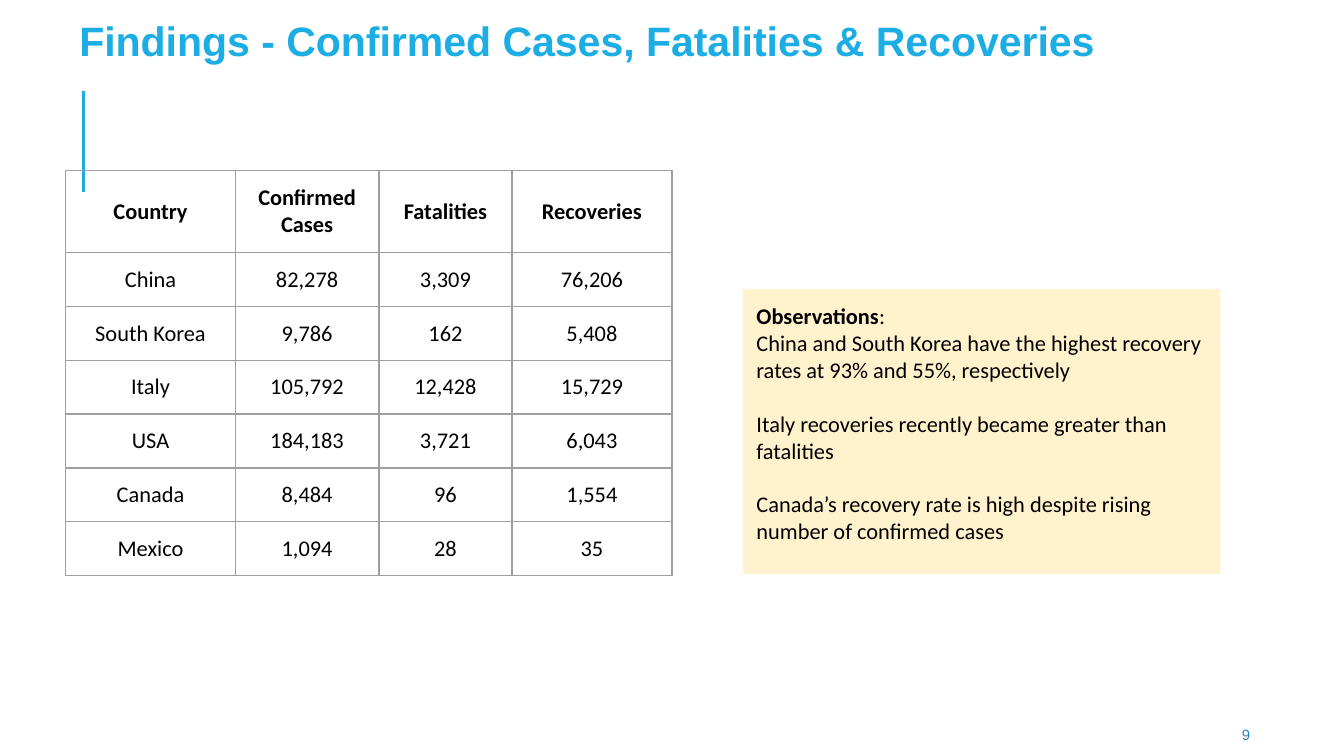
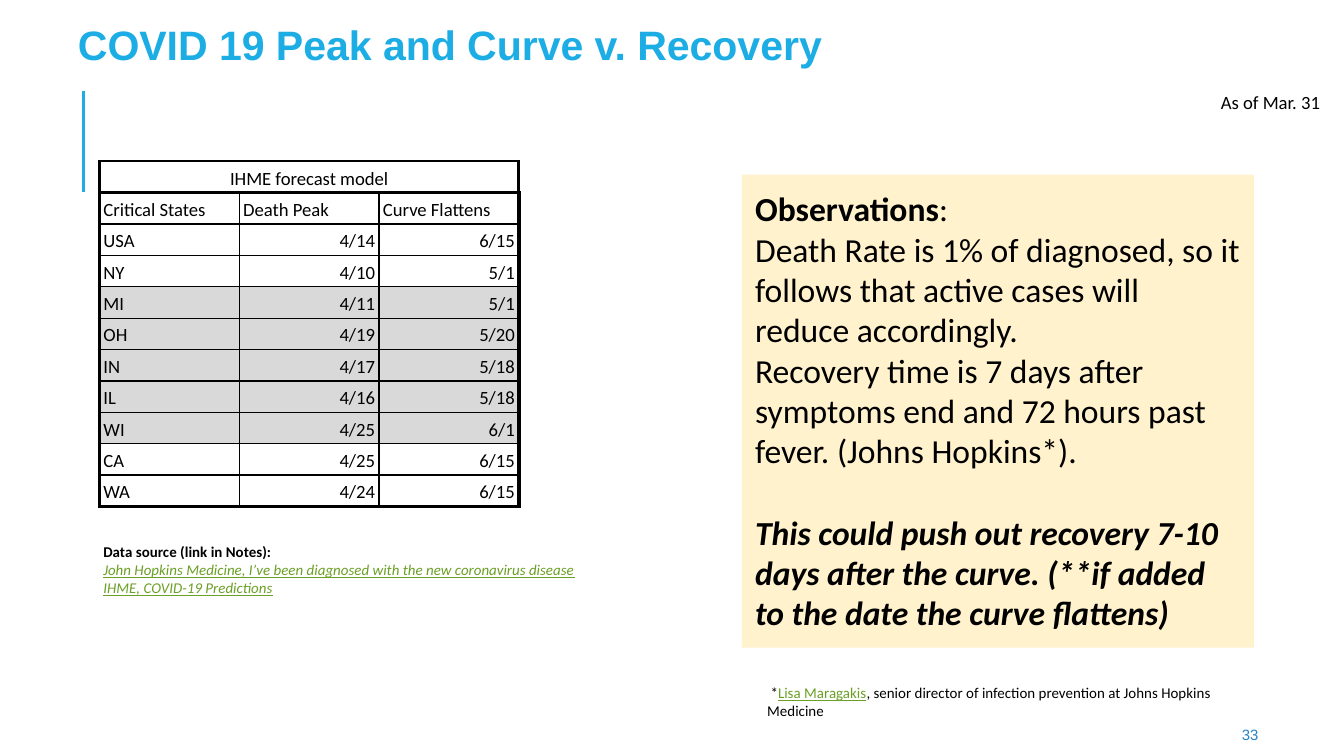
from lxml.etree import SubElement
from pptx import Presentation
from pptx.dml.color import RGBColor as Rgb
from pptx.enum.shapes import MSO_CONNECTOR as Connector, MSO_SHAPE as Shape
from pptx.enum.text import MSO_ANCHOR as Anchor, PP_ALIGN as Align
from pptx.oxml.ns import qn
from pptx.util import Pt

EMU_PER_PX = 9144  # 100 px to the inch
COLORS = {
    "accent": "1CADE4",
    "number": "2683C6",
    "note": "FFF2CC",
    "link": "6B9F25",
    "text": "000000",
    "grid": "9E9E9E",
    "midwest": "D9D9D9",
}
BODY_FONT = "Calibri"
TITLE_FONT = "Arial"
PADDING = (10, 10, 10, 10)

CASES = [
    ("Country", "Confirmed Cases", "Fatalities", "Recoveries"),
    ("China", "82,278", "3,309", "76,206"),
    ("South Korea", "9,786", "162", "5,408"),
    ("Italy", "105,792", "12,428", "15,729"),
    ("USA", "184,183", "3,721", "6,043"),
    ("Canada", "8,484", "96", "1,554"),
    ("Mexico", "1,094", "28", "35"),
]
FORECAST = [
    ("IHME forecast model", "", ""),
    ("Critical States", "Death Peak", "Curve Flattens"),
    ("USA", "4/14", "6/15"),
    ("NY", "4/10", "5/1"),
    ("MI", "4/11", "5/1"),
    ("OH", "4/19", "5/20"),
    ("IN", "4/17", "5/18"),
    ("IL", "4/16", "5/18"),
    ("WI", "4/25", "6/1"),
    ("CA", "4/25", "6/15"),
    ("WA", "4/24", "6/15"),
]
MIDWEST = {"MI", "OH", "IN", "IL", "WI"}


def px(*lengths):
    return [round(length * EMU_PER_PX) for length in lengths]


def rgb(color):
    return Rgb.from_string(COLORS[color])


def write(frame, paragraphs, size=12, font=BODY_FONT, color="text", bold=False,
          align=Align.LEFT, line_spacing=None, gaps=None):
    """Fill a frame; a paragraph is a string or a list of (text, overrides) runs.

    gaps maps a paragraph's index to the points of space before it.
    """
    for index, runs in enumerate(paragraphs):
        paragraph = frame.paragraphs[0] if index == 0 else frame.add_paragraph()
        paragraph.alignment = align
        if line_spacing:
            paragraph.line_spacing = line_spacing
        if gaps and index in gaps:
            paragraph.space_before = Pt(gaps[index])
        for text, overrides in [(runs, {})] if isinstance(runs, str) else runs:
            run = paragraph.add_run()
            run.text = text
            run.font.size = Pt(size)
            run.font.name = font
            run.font.bold = overrides.get("bold", bold)
            run.font.italic = overrides.get("italic", False)
            run.font.underline = overrides.get("underline", False)
            run.font.color.rgb = rgb(overrides.get("color", color))


def set_margins(target, margins):
    (target.margin_left, target.margin_top,
     target.margin_right, target.margin_bottom) = px(*margins)


def add_text(slide, box, paragraphs, margins=PADDING, anchor=Anchor.TOP, **style):
    frame = slide.shapes.add_textbox(*px(*box)).text_frame
    frame.word_wrap = True
    frame.vertical_anchor = anchor
    set_margins(frame, margins)
    write(frame, paragraphs, **style)


def add_observations(slide, box, findings, **style):
    note = slide.shapes.add_shape(Shape.RECTANGLE, *px(*box))
    note.shadow.inherit = False
    note.fill.solid()
    note.fill.fore_color.rgb = rgb("note")
    note.line.fill.background()
    frame = note.text_frame
    frame.word_wrap = True
    frame.vertical_anchor = Anchor.TOP
    set_margins(frame, PADDING)
    heading = [("Observations", {"bold": True}), (":", {})]
    write(frame, [heading] + findings, **style)


def add_base_slide(deck, title, title_box, number):
    """Add a blank slide with the accent rule, title and page number."""
    slide = deck.slides.add_slide(deck.slide_layouts[6])
    rule = slide.shapes.add_connector(Connector.STRAIGHT, *px(62, 143, 62, 68))
    rule.line.color.rgb = rgb("accent")
    rule.line.width = Pt(1.5)
    SubElement(rule._element.spPr, qn("a:effectLst"))
    add_text(slide, title_box, [title], margins=(0, 0, 0, 0), anchor=Anchor.MIDDLE,
             size=22, font=TITLE_FONT, color="accent", bold=True)
    add_text(slide, (924, 540, 35, 16), [number], margins=(0, 0, 0, 0),
             size=8, font=TITLE_FONT, color="number")
    return slide


def add_grid(slide, left, top, widths, heights):
    box = px(left, top, sum(widths), sum(heights))
    table = slide.shapes.add_table(len(heights), len(widths), *box).table
    table.first_row = table.horz_banding = False
    for column, width in zip(table.columns, px(*widths)):
        column.width = width
    for row, height in zip(table.rows, px(*heights)):
        row.height = height
    return table


def fill_cell(cell, text, borders, border_color, margins, anchor, fill=None, **style):
    """Write and format a cell; borders are left, right, top, bottom in points."""
    properties = cell._tc.get_or_add_tcPr()
    for side, width in zip("LRTB", borders):
        line = SubElement(properties, qn(f"a:ln{side}"), w=str(Pt(width)))
        solid = SubElement(line, qn("a:solidFill"))
        SubElement(solid, qn("a:srgbClr"), val=COLORS[border_color])
    if fill:
        cell.fill.solid()
        cell.fill.fore_color.rgb = rgb(fill)
    else:
        cell.fill.background()
    set_margins(cell, margins)
    cell.vertical_anchor = anchor
    if text:
        write(cell.text_frame, [text], **style)


def add_cases_table(slide):
    heights = [61] + [40] * (len(CASES) - 1)
    table = add_grid(slide, 49, 127, [126, 107, 99, 119], heights)
    for row, record in enumerate(CASES):
        for col, text in enumerate(record):
            fill_cell(table.cell(row, col), text, [0.75] * 4, "grid", PADDING,
                      Anchor.MIDDLE, bold=row == 0, align=Align.CENTER)


def forecast_borders(row, col):
    """Heavier lines round the caption, the header row and the outer edge."""
    if row == 0:
        return [1.5] * 4
    return (
        1.5 if col == 0 else 0.75,
        2.25 if col == 2 else 0.75,
        1.5 if row <= 2 else 0.75,
        1.5 if row in (1, len(FORECAST) - 1) else 0.75,
    )


def add_forecast_table(slide):
    row_height = 257 / len(FORECAST)
    table = add_grid(slide, 74, 120, [104] * 3, [row_height] * len(FORECAST))
    table.cell(0, 0).merge(table.cell(0, 2))
    for row, record in enumerate(FORECAST):
        for col, text in enumerate(record):
            if row == 0:
                align = Align.CENTER
            else:
                align = Align.RIGHT if row > 1 and col > 0 else Align.LEFT
            fill_cell(table.cell(row, col), text, forecast_borders(row, col), "text",
                      (3, 2, 3, 2), Anchor.BOTTOM,
                      fill="midwest" if record[0] in MIDWEST else None,
                      size=10, align=align, line_spacing=1.15)


def add_findings_slide(deck):
    slide = add_base_slide(deck, "Findings - Confirmed Cases, Fatalities & Recoveries",
                           (59, 17, 769, 26), "9")
    add_cases_table(slide)
    add_observations(slide, (553, 215, 355, 212), [
        "China and South Korea have the highest recovery rates at 93% and 55%, respectively",
        "Italy recoveries recently became greater than fatalities",
        "Canada’s recovery rate is high despite rising number of confirmed cases",
    ], size=12, gaps={2: 14.4, 3: 14.4})


def add_recovery_slide(deck):
    slide = add_base_slide(deck, "COVID 19 Peak and Curve v. Recovery",
                           (58, 20, 758, 26), "33")
    add_observations(slide, (552, 130, 381, 352), [
        "Death Rate is 1% of diagnosed, so it follows that active cases will "
        "reduce accordingly.",
        "Recovery time is 7 days after symptoms end and 72 hours past fever. "
        "(Johns Hopkins*).",
        [("This could push out recovery 7-10 days after the curve. "
          "(**if added to the date the curve flattens)", {"bold": True, "italic": True})],
    ], size=18, gaps={3: 22})
    link = {"color": "link", "underline": True}
    add_text(slide, (561, 499, 381, 50), [[
        (" *", {}),
        ("Lisa Maragakis", link),
        (", senior director of infection prevention at Johns Hopkins Medicine", {}),
    ]], size=8)
    add_forecast_table(slide)
    source = {**link, "italic": True}
    add_text(slide, (67, 394, 429, 60), [
        [("Data source (link in Notes):", {"bold": True})],
        [("John Hopkins Medicine, I’ve been diagnosed with the new coronavirus disease",
          source)],
        [("IHME, COVID-19 Predictions", source)],
    ], size=8)
    add_text(slide, (838, 59, 154, 36), ["As of Mar. 31"], size=10, align=Align.RIGHT)


def main():
    deck = Presentation()
    [deck.slide_width] = px(1000)
    deck.slide_height = deck.slide_width * 9 // 16
    add_findings_slide(deck)
    add_recovery_slide(deck)
    deck.save("out.pptx")


if __name__ == "__main__":
    main()
